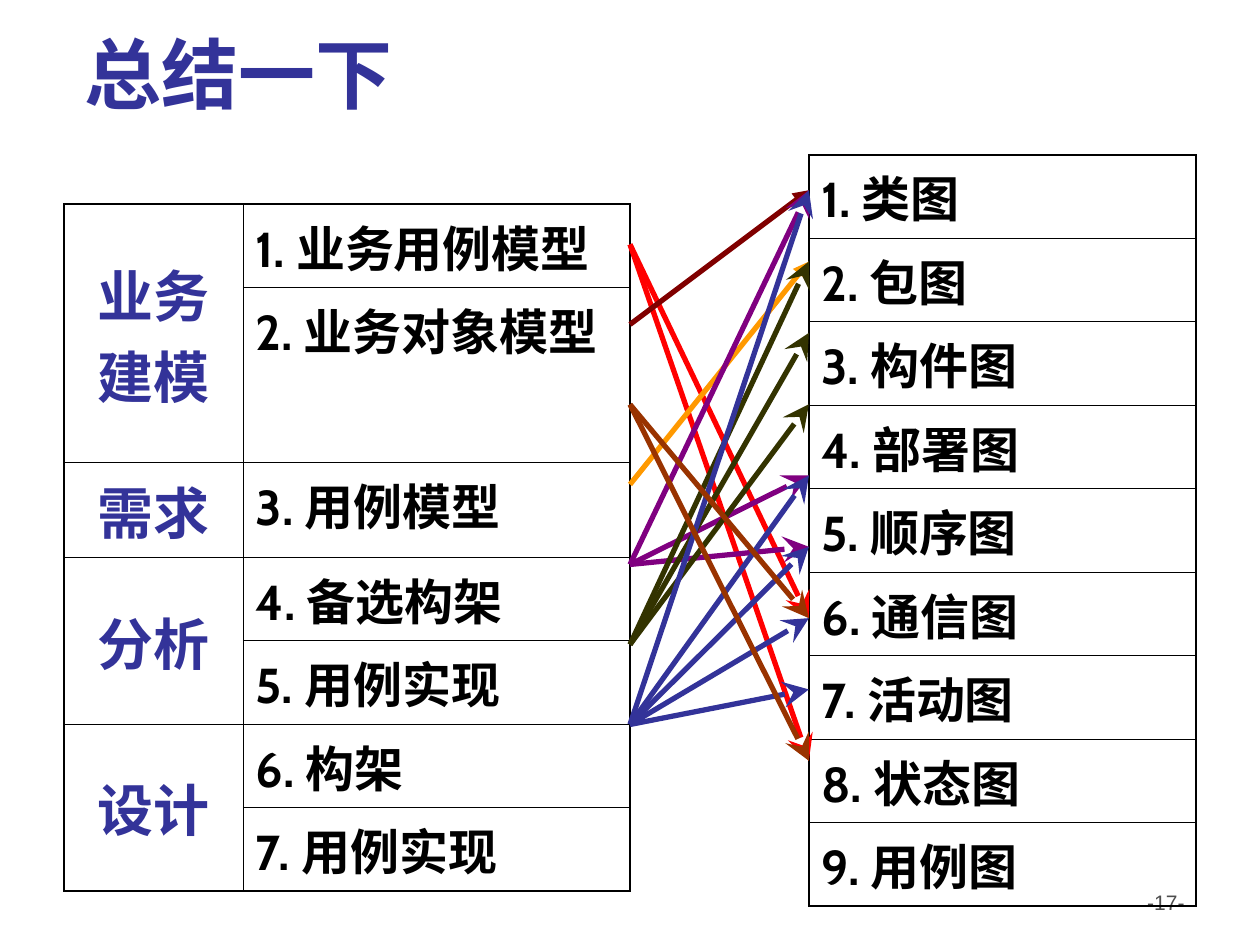
from dataclasses import dataclass

from lxml import etree
from pptx import Presentation
from pptx import util as u
from pptx.dml.color import RGBColor
from pptx.enum import shapes, text
from pptx.oxml import ns

WIDTH, HEIGHT = 10, 7.5
INDIGO, BLACK, GREY = "333399", "000000", "4D4D4D"
ROW = 5.96 / 9
MODEL_EDGE, DIAGRAM_EDGE = 0.5 * WIDTH, 0.642 * WIDTH
MODEL_START, MODEL_STEP = 1.94, 0.635
DIAGRAM_START, DIAGRAM_STEP = 1.51, 0.566


@dataclass(frozen=True)
class Style:
    size: float
    color: str
    bold: bool = True
    font: str = "Cabin"
    align: text.PP_ALIGN = text.PP_ALIGN.LEFT
    anchor: text.MSO_ANCHOR = text.MSO_ANCHOR.TOP
    space_before: float = 0


@dataclass(frozen=True)
class Label:
    row: int
    column: int
    words: str
    style: Style
    rows: int = 1


@dataclass(frozen=True)
class Fan:
    model: int
    diagrams: tuple[int, ...]
    color: str
    head: str = "stealth"
    head_size: str = "lg"


TITLE = Style(44, INDIGO, anchor=text.MSO_ANCHOR.BOTTOM)
NUMBER = Style(12, GREY, False, "Arial", text.PP_ALIGN.RIGHT)
PHASE = Style(32, INDIGO, align=text.PP_ALIGN.CENTER,
              anchor=text.MSO_ANCHOR.MIDDLE, space_before=8)
ITEM = Style(28, BLACK, space_before=7)

PHASES = [
    Label(0, 0, "业务建模", PHASE, 2),
    Label(2, 0, "需求", PHASE),
    Label(3, 0, "分析", PHASE, 2),
    Label(5, 0, "设计", PHASE, 2),
]
MODELS = ["业务用例模型", "业务对象模型", "用例模型", "备选构架",
          "用例实现", "构架", "用例实现"]
DIAGRAMS = ["类图", "包图", "构件图", "部署图", "顺序图",
            "通信图", "活动图", "状态图", "用例图"]
FANS = [
    Fan(1, (9, 7), "FF0000"),
    Fan(2, (1,), "800000", "triangle", "med"),
    Fan(4, (2,), "FF9900", "triangle", "med"),
    Fan(5, (5, 6, 1), "800080"),
    Fan(6, (2, 3, 4), "333300"),
    Fan(7, (1, 5, 6, 7, 8), INDIGO),
    Fan(3, (9, 7), "993300"),
]


def rgb(value: str) -> RGBColor:
    """Turn a hex string into a colour."""
    return RGBColor.from_string(value)


def write(frame, words: str, style: Style) -> None:
    """Put one styled paragraph into a text frame."""
    frame.word_wrap = True
    paragraph = frame.paragraphs[0]
    paragraph.text = words
    paragraph.alignment = style.align
    paragraph.space_before = u.Pt(style.space_before)
    font = paragraph.font
    font.size, font.bold, font.name = u.Pt(style.size), style.bold, style.font
    font.color.rgb = rgb(style.color)


def add_text(slide, box: tuple[float, ...], words: str, style: Style) -> None:
    """Add a text box placed by shares of the slide's size."""
    left, top, width, height = box
    shape = slide.shapes.add_textbox(
        u.Inches(left * WIDTH), u.Inches(top * HEIGHT),
        u.Inches(width * WIDTH), u.Inches(height * HEIGHT))
    shape.text_frame.vertical_anchor = style.anchor
    write(shape.text_frame, words, style)


def set_border(cell, side: str, outer: bool) -> None:
    """Draw one side of a cell, heavier on the table's outside."""
    width = u.Pt(1.08 if outer else 0.45)
    line = etree.SubElement(cell._tc.get_or_add_tcPr(), ns.qn(f"a:ln{side}"), w=str(width))
    fill = etree.SubElement(line, ns.qn("a:solidFill"))
    etree.SubElement(fill, ns.qn("a:srgbClr"), val=BLACK)


def add_grid(slide, left: float, top: float, columns: list[float],
             rows: list[float], labels: list[Label]) -> None:
    """Add an unfilled table with ruled cells and its labels."""
    table = slide.shapes.add_table(
        len(rows), len(columns), u.Inches(left * WIDTH), u.Inches(top * HEIGHT),
        u.Inches(sum(columns)), u.Inches(sum(rows))).table
    table.first_row = table.horz_banding = False
    for column, width in zip(table.columns, columns):
        column.width = u.Inches(width)
    for row, height in zip(table.rows, rows):
        row.height = u.Inches(height)
    for label in labels:
        cell = table.cell(label.row, label.column)
        if label.rows > 1:
            cell.merge(table.cell(label.row + label.rows - 1, label.column))
        cell.vertical_anchor = label.style.anchor
        write(cell.text_frame, label.words, label.style)
    for row in range(len(rows)):
        for column in range(len(columns)):
            cell = table.cell(row, column)
            bottom = row + (cell.span_height if cell.is_merge_origin else 1)
            set_border(cell, "L", column == 0)
            set_border(cell, "R", column == len(columns) - 1)
            set_border(cell, "T", row == 0)
            set_border(cell, "B", bottom == len(rows))
            cell.fill.background()


def numbered(names: list[str], column: int) -> list[Label]:
    """Number the names down one column."""
    return [Label(row, column, f"{row + 1}. {name}", ITEM)
            for row, name in enumerate(names)]


def add_fan(slide, fan: Fan) -> None:
    """Draw arrows from one model to each of its diagrams."""
    many = len(fan.diagrams) > 1
    target = slide.shapes.add_group_shape().shapes if many else slide.shapes
    start = MODEL_START + (fan.model - 1) * MODEL_STEP
    for diagram in fan.diagrams:
        end = DIAGRAM_START + (diagram - 1) * DIAGRAM_STEP
        arrow = target.add_connector(
            shapes.MSO_CONNECTOR.STRAIGHT, u.Inches(MODEL_EDGE), u.Inches(start),
            u.Inches(DIAGRAM_EDGE), u.Inches(end))
        arrow.line.color.rgb = rgb(fan.color)
        arrow.line.width = u.Pt(3)
        etree.SubElement(arrow.line._get_or_add_ln(), ns.qn("a:tailEnd"),
                         type=fan.head, w=fan.head_size, len=fan.head_size)
        etree.SubElement(arrow._element.spPr, ns.qn("a:effectLst"))


def main() -> None:
    """Build the summary slide."""
    presentation = Presentation()
    presentation.slide_width = u.Inches(WIDTH)
    presentation.slide_height = u.Inches(HEIGHT)
    slide = presentation.slides.add_slide(presentation.slide_layouts[6])
    add_text(slide, (0.717, 0.935, 0.233, 0.07), "-17-", NUMBER)
    add_text(slide, (0.057, 0.037, 0.868, 0.095), "总结一下", TITLE)
    add_grid(slide, 0.051, 0.216, [1.42, 3.07], [ROW, 1.39, 0.75] + [ROW] * 4,
             PHASES + numbered(MODELS, 1))
    add_grid(slide, 0.642, 0.164, [3.07], [ROW] * len(DIAGRAMS), numbered(DIAGRAMS, 0))
    for fan in FANS:
        add_fan(slide, fan)
    presentation.save("out.pptx")


if __name__ == "__main__":
    main()
